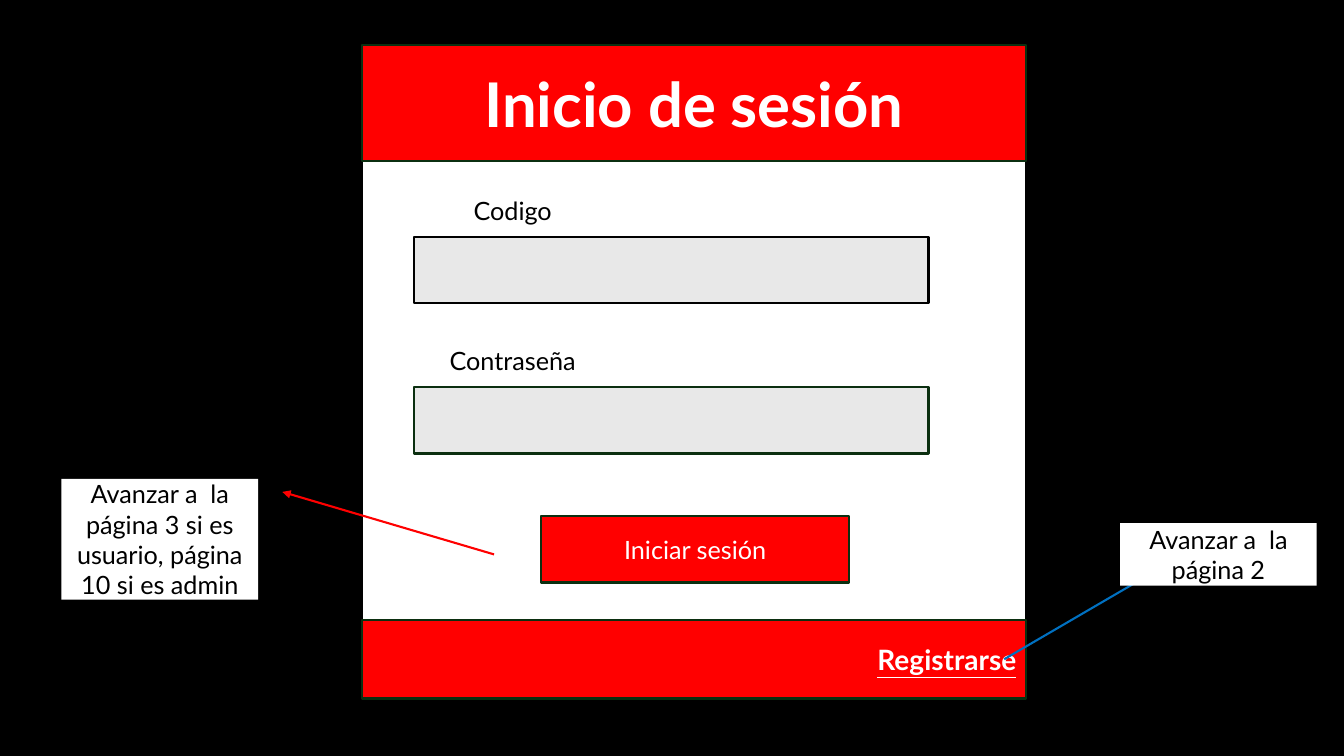
from dataclasses import dataclass

from lxml.etree import SubElement
from pptx import Presentation
from pptx.dml.color import RGBColor
from pptx.enum.shapes import MSO_CONNECTOR, MSO_SHAPE
from pptx.enum.text import MSO_ANCHOR, PP_ALIGN
from pptx.oxml.ns import qn
from pptx.util import Inches, Pt

# Content
TITLE = "Inicio de sesión"
FIELDS = [("Codigo", "000000"), ("Contraseña", "0B2F10")]  # label, border
BUTTON = "Iniciar sesión"
REGISTER = "Registrarse"
NOTES = [  # text, box
    ("Avanzar a  la página 3 si es usuario, página 10 si es admin",
     (0.61, 4.75, 1.95, 1.2)),
    ("Avanzar a  la página 2", (11.11, 5.19, 1.95, 0.62)),
]
ARROWS = [  # start, end, colour
    ((4.9, 5.5), (2.8, 4.88), "FF0000"),
    ((9.96, 6.54), (11.52, 5.63), "0070C0"),
]


@dataclass(frozen=True)
class Theme:
    font: str = "Lato"
    black: str = "000000"
    white: str = "FFFFFF"
    red: str = "FF0000"
    field: str = "E8E8E8"
    border: str = "0B2F10"
    title_size: int = 44
    link_size: int = 20
    body_size: int = 18
    line_width: float = 1.5


THEME = Theme()

# Layout, in inches
PANEL_LEFT, PANEL_TOP, PANEL_WIDTH, PANEL_HEIGHT = 3.59, 0.45, 6.59, 6.44
HEADER_HEIGHT = 1.15
FOOTER_TOP, FOOTER_HEIGHT = 6.15, 0.78
FIELD_LEFT, FIELD_TOP, FIELD_WIDTH, FIELD_HEIGHT = 4.11, 2.35, 5.1, 0.66
FIELD_STEP = 1.49
LABEL_RISE, LABEL_WIDTH, LABEL_HEIGHT = 0.48, 1.95, 0.44
BUTTON_BOX = (5.37, 5.12, 3.05, FIELD_HEIGHT)


def paint(shape, fill, border=None):
    shape.fill.solid()
    shape.fill.fore_color.rgb = RGBColor.from_string(fill)
    if border:
        shape.line.color.rgb = RGBColor.from_string(border)
        shape.line.width = Pt(THEME.line_width)
    else:
        shape.line.fill.background()


def write(shape, text, color, size=THEME.body_size, align=PP_ALIGN.CENTER,
          bold=False, underline=False):
    frame = shape.text_frame
    frame.text = text
    frame.word_wrap = True
    frame.vertical_anchor = MSO_ANCHOR.MIDDLE
    para = frame.paragraphs[0]
    para.alignment = align
    font = para.runs[0].font
    font.name, font.size = THEME.font, Pt(size)
    font.bold, font.underline = bold, underline
    font.color.rgb = RGBColor.from_string(color)


def add_box(page, box, fill, border=None):
    shape = page.shapes.add_shape(MSO_SHAPE.RECTANGLE, *map(Inches, box))
    shape.shadow.inherit = False
    paint(shape, fill, border)
    return shape


def add_arrow(page, start, end, color):
    arrow = page.shapes.add_connector(
        MSO_CONNECTOR.STRAIGHT, *map(Inches, start + end))
    arrow.line.color.rgb = RGBColor.from_string(color)
    arrow.line.width = Pt(THEME.line_width)
    properties = arrow.element.spPr
    SubElement(properties.find(qn("a:ln")), qn("a:tailEnd"), type="triangle")
    SubElement(properties, qn("a:effectLst"))


def main():
    deck = Presentation()
    deck.slide_width, deck.slide_height = Inches(13.33), Inches(7.5)
    page = deck.slides.add_slide(deck.slide_layouts[5])
    page.background.fill.solid()
    page.background.fill.fore_color.rgb = RGBColor.from_string(THEME.black)

    # Panel, with the title bar in front of it
    panel = add_box(page, (PANEL_LEFT, PANEL_TOP, PANEL_WIDTH, PANEL_HEIGHT),
                    THEME.white, THEME.black)
    title = page.shapes.title
    title.element.addprevious(panel.element)
    title.left, title.top = Inches(PANEL_LEFT), Inches(PANEL_TOP)
    title.width, title.height = Inches(PANEL_WIDTH), Inches(HEADER_HEIGHT)
    paint(title, THEME.red, THEME.border)
    write(title, TITLE, THEME.white, THEME.title_size, bold=True)

    # Input fields with their labels
    for index, (name, border) in enumerate(FIELDS):
        top = FIELD_TOP + index * FIELD_STEP
        add_box(page, (FIELD_LEFT, top, FIELD_WIDTH, FIELD_HEIGHT),
                THEME.field, border)
        label = page.shapes.add_textbox(*map(
            Inches, (FIELD_LEFT, top - LABEL_RISE, LABEL_WIDTH, LABEL_HEIGHT)))
        write(label, name, THEME.black)

    # Button and footer
    button = add_box(page, BUTTON_BOX, THEME.red, THEME.border)
    write(button, BUTTON, THEME.white)
    footer = add_box(page, (PANEL_LEFT, FOOTER_TOP, PANEL_WIDTH, FOOTER_HEIGHT),
                     THEME.red, THEME.border)
    write(footer, REGISTER, THEME.white, THEME.link_size, PP_ALIGN.RIGHT,
          bold=True, underline=True)

    # Navigation arrows and notes
    for start, end, color in ARROWS:
        add_arrow(page, start, end, color)
    for text, box in NOTES:
        write(add_box(page, box, THEME.white), text, THEME.black)

    deck.save("out.pptx")


if __name__ == "__main__":
    main()
